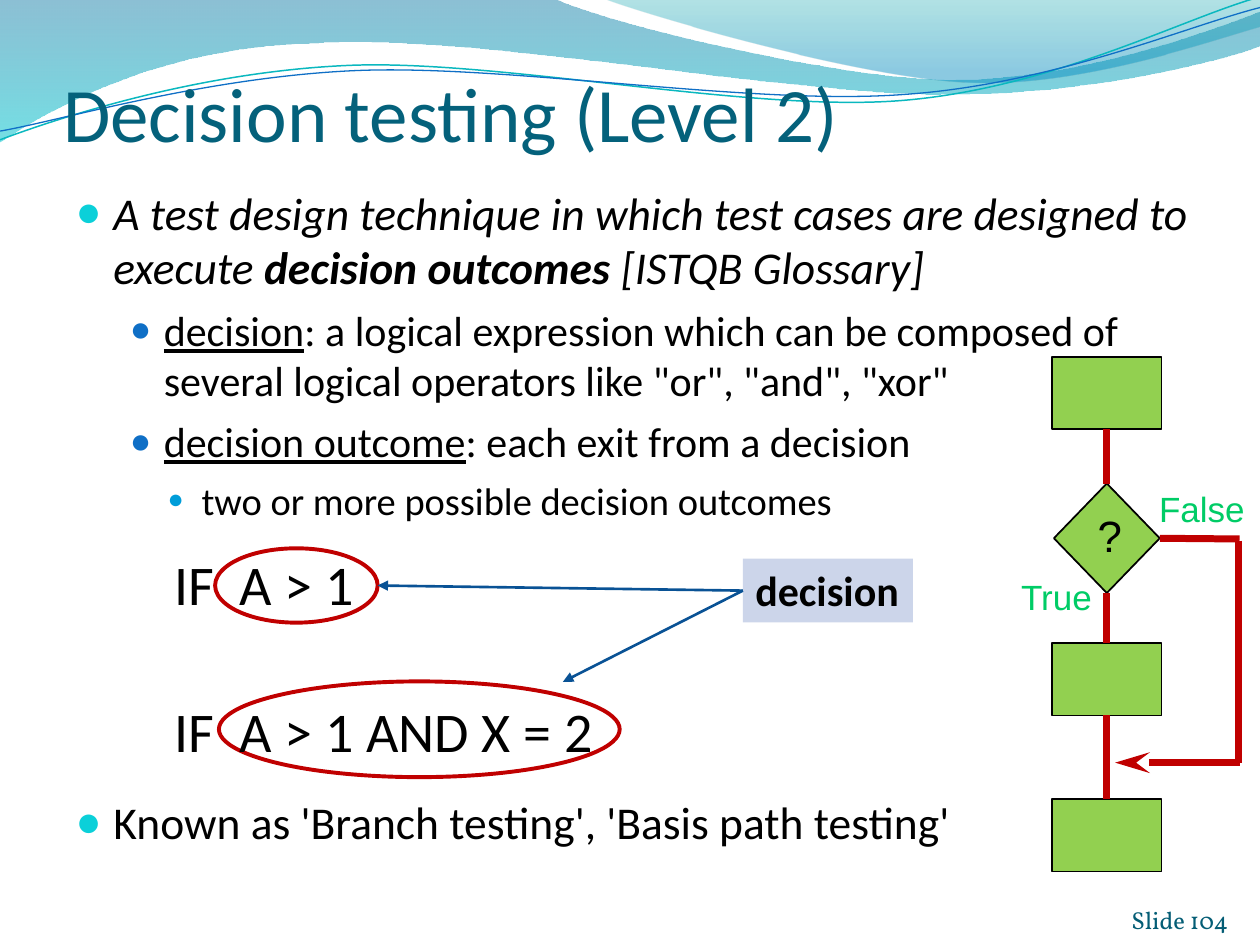
from lxml.etree import SubElement
from pptx import Presentation
from pptx.dml.color import RGBColor
from pptx.enum.shapes import MSO_CONNECTOR, MSO_SHAPE
from pptx.enum.text import MSO_ANCHOR, MSO_AUTO_SIZE, PP_ALIGN
from pptx.oxml.ns import qn
from pptx.util import Pt

RED, GREEN, BLUE = "C00000", "92D050", "095295"


def color(value):
    return RGBColor.from_string(value)


def set_values(target, values):
    for name, value in values.items():
        setattr(target, name, value)


def style_font(font, ink="000000", **values):
    set_values(font, values)
    font.color.rgb = color(ink)


def place(page, shape, box):
    """Move a placeholder to its box, in front of what is already drawn."""
    set_values(shape, dict(zip(("left", "top", "width", "height"), map(Pt, box))))
    page.shapes._spTree.append(shape._element)


def set_frame(frame, insets=(7.2, 3.6, 7.2, 3.6), **values):
    sides = ("margin_left", "margin_top", "margin_right", "margin_bottom")
    set_values(frame, dict(zip(sides, map(Pt, insets))))
    set_values(frame, {"auto_size": MSO_AUTO_SIZE.NONE, "word_wrap": True, **values})


def paint(shape, fill=None, line=None, width=1):
    shape.shadow.inherit = False
    if fill:
        shape.fill.solid()
        shape.fill.fore_color.rgb = color(fill)
    else:
        shape.fill.background()
    if line:
        shape.line.color.rgb = color(line)
        shape.line.width = Pt(width)
    else:
        shape.line.fill.background()


def add_shape(page, kind, box, **colors):
    shape = page.shapes.add_shape(kind, *map(Pt, box))
    paint(shape, **colors)
    return shape


def add_label(page, box, text, align=PP_ALIGN.LEFT, frame=None, **font):
    label = page.shapes.add_textbox(*map(Pt, box))
    set_frame(label.text_frame, **(frame or {"word_wrap": False}))
    para = label.text_frame.paragraphs[0]
    para.alignment = align
    span = para.add_run()
    span.text = text
    style_font(span.font, **font)


def add_line(page, start, end, ink, width, arrow=None):
    line = page.shapes.add_connector(MSO_CONNECTOR.STRAIGHT, *map(Pt, (*start, *end)))
    line.line.color.rgb = color(ink)
    line.line.width = Pt(width)
    if arrow:
        SubElement(line.line._get_or_add_ln(), qn("a:tailEnd"), arrow)
    SubElement(line._element.spPr, qn("a:effectLst"))
    return line


def add_wave(page, box, start, segments, closed):
    """Draw straight segments (one point) and cubic curves (three points)."""
    points = [(Pt(box[0] + x), Pt(box[1] + y))
              for x, y in (start, *(point for segment in segments for point in segment))]
    builder = page.shapes.build_freeform(*points[0], scale=1.0)
    builder.add_line_segments(points[1:], close=closed)
    wave = builder.convert_to_shape()
    lines = iter(list(wave._element.spPr.iter(qn("a:lnTo"))))
    for segment in segments:
        parts = [next(lines) for _ in segment]
        if len(parts) == 3:
            curve = SubElement(parts[0].getparent(), qn("a:cubicBezTo"))
            parts[0].addprevious(curve)
            for part in parts:
                curve.append(part[0])
                part.getparent().remove(part)
    return wave


def add_header_waves(page, box):
    # Filled bands: outline, then colour and opacity at top and bottom
    bands = [
        ((0, 0), [[(316.8, -0.7)],
                  [(342.7, 12.2), (478.1, 45.4), (545.8, 45.4)],
                  [(614.2, 45.4), (689.8, 18.7), (720, 6.5)],
                  [(720.7, 25.9)],
                  [(707.8, 31.7), (626.4, 54.7), (537.1, 54)],
                  [(447.8, 54), (275, 20.2), (185, 24.5)],
                  [(92.9, 25.9), (33.1, 59.8), (-0.7, 81.4)]],
         [(0, "0074A1", 45), (1, "00C6CF", 55)]),
        ((344.9, -0.7), [[(366.5, 7.9), (491, 44.6), (553.7, 46.8)],
                         [(616.3, 49.7), (691.9, 23), (720, 15.1)],
                         [(720, 0)]],
         [(0, "00A1A9", 30), (0.8, "008BBF", 45)]),
    ]
    for start, segments, stops in bands:
        band = add_wave(page, box, start, segments, True)
        paint(band)
        band.fill.gradient()
        band.fill.gradient_angle = 270
        for stop, (position, ink, _) in zip(band.fill.gradient_stops, stops):
            stop.position = position
            stop.color.rgb = color(ink)
        inks = band._element.spPr.iter(qn("a:srgbClr"))
        for ink, (_, _, opacity) in zip(list(inks), stops):
            SubElement(ink, qn("a:alpha"), val=str(opacity * 1000))
    # Thin lines
    strands = [
        ((0, 79.9), [[(34.6, 67), (113.8, 41), (199.4, 37.4)],
                     [(284.4, 33.8), (427, 64.1), (513.4, 57.6)],
                     [(599.8, 51.1), (675.4, 10.8), (718.6, -1.4)]], "0AB8BF", 0.85),
        ((0, 74.9), [[(33.8, 69.1), (118.1, 43.9), (203.8, 40.3)],
                     [(290.2, 36.7), (429.8, 60.5), (516.2, 54)],
                     [(601.9, 48.2), (677.5, 15.1), (720, 4.3)]], "0F6FC6", 0.75),
    ]
    for start, segments, ink, width in strands:
        paint(add_wave(page, box, start, segments, False), line=ink, width=width)


def add_title(page, box):
    title = page.shapes.title
    place(page, title, box)
    set_frame(title.text_frame, (0, 3.6, 0, 0), vertical_anchor=MSO_ANCHOR.BOTTOM)
    title.text_frame.text = "Decision testing (Level 2)"
    para = title.text_frame.paragraphs[0]
    para.alignment = PP_ALIGN.LEFT
    style_font(para.runs[0].font, "04617B", size=Pt(44), name="Calibri")


def add_bullet_list(page, box):
    # Level: indent, hanging, bullet colour, bullet percent, text size
    levels = [(21.6, 21.6, "0BD0D9", 95, 26), (50.4, 19.44, "0F6FC6", 85, 24),
              (72, 19.44, "009DD9", 70, 22)]
    items = [
        (0, 0, [("A test design technique in which test cases are designed to execute ", {"italic": True}),
                ("decision outcomes ", {"italic": True, "bold": True}),
                ("[ISTQB Glossary]", {"italic": True})]),
        (1, 6, [("decision", {"underline": True}),
                (": a logical expression which can be composed of several logical "
                 'operators like "or", "and", "xor"', {})]),
        (1, 6, [("decision outcome", {"underline": True}), (": each exit from a decision", {})]),
        (2, 6, [("two or more possible decision outcomes", {})]),
        (0, 155, [("Known as 'Branch testing', 'Basis path testing'", {})]),
    ]
    body = page.placeholders[1]
    place(page, body, box)
    frame = body.text_frame
    set_frame(frame, vertical_anchor=MSO_ANCHOR.TOP)
    for index, (level, gap, spans) in enumerate(items):
        para = frame.add_paragraph() if index else frame.paragraphs[0]
        indent, hanging, ink, percent, size = levels[level]
        marks = para._p.get_or_add_pPr()
        marks.set("marL", str(Pt(indent)))
        marks.set("indent", str(-Pt(hanging)))
        SubElement(SubElement(marks, qn("a:buClr")), qn("a:srgbClr"), val=ink)
        SubElement(marks, qn("a:buSzPct"), val=str(percent * 1000))
        SubElement(marks, qn("a:buFont"), typeface="Arial")
        SubElement(marks, qn("a:buChar"), char="●")
        set_values(para, {"level": level, "space_before": Pt(gap), "alignment": PP_ALIGN.LEFT})
        for text, accents in spans:
            span = para.add_run()
            span.text = text
            style_font(span.font, size=Pt(size), name="Calibri", **accents)


def add_flowchart(page, box):
    left, top, width, height = box
    step_width, step_height = 62.6, 41.4
    middle = left + 56.5
    # Steps and decision diamond
    first, second, third = [
        add_shape(page, MSO_SHAPE.RECTANGLE,
                  (middle - step_width / 2, top + offset, step_width, step_height),
                  fill=GREEN, line="000000")
        for offset in (0, 163.6, height - step_height)]
    diamond = add_shape(page, MSO_SHAPE.DIAMOND, (middle - 30.25, top + 72.5, 60.5, 62.6),
                        fill=GREEN, line="000000")
    # Main flow
    for upper, lower in ((first, diamond), (diamond, second), (second, third)):
        link = add_line(page, (middle, top), (middle, top), RED, 4)
        link.begin_connect(upper, 2)
        link.end_connect(lower, 0)
    # False branch around the second step
    right, branch, merge = left + width, top + 104.2, top + 232
    exit_line = add_line(page, (middle, branch), (right + 0.5, branch), RED, 4)
    exit_line.begin_connect(diamond, 3)
    add_line(page, (right, branch + 1), (right, merge), RED, 4)
    add_line(page, (right + 0.5, merge), (left + 61.2, merge), RED, 4,
             {"type": "stealth", "len": "lg"})
    # Labels
    for x, y, w, h, text, size, ink in ((0, 121.4, 55.4, 31.7, "True", 20, "00CC66"),
                                        (78.8, 71, 64, 31.7, "False", 20, "00CC66"),
                                        (44.1, 83.5, 28.1, 37.4, "?", 25, "000000")):
        add_label(page, (left + x, top + y, w, h), text, PP_ALIGN.CENTER,
                  ink=ink, size=Pt(size), name="Arial")


def add_decision_example(page, box):
    left, top, width, height = box
    # Rings around the decisions
    for x, y, w, h in ((30.2, 3, 92.9, 42.5), (32.4, 79.1, 229, 54.7)):
        add_shape(page, MSO_SHAPE.OVAL, (left + x, top + y, w, h), line=RED, width=2.25)
    # Callout with an arrow to each ring
    callout = add_shape(page, MSO_SHAPE.RECTANGLE,
                        (left + width - 97.2, top + 9, 97.2, 36.4), fill="CCD5EA")
    set_frame(callout.text_frame, word_wrap=False, vertical_anchor=MSO_ANCHOR.TOP)
    callout.text_frame.text = "decision"
    para = callout.text_frame.paragraphs[0]
    para.alignment = PP_ALIGN.LEFT
    style_font(para.runs[0].font, size=Pt(24), name="Calibri", bold=True)
    for x, y in ((123.1, 24.3), (229, 79.3)):
        arrow = add_line(page, (left + width, top), (left + x, top + y), BLUE, 1.5,
                         {"type": "triangle"})
        arrow.begin_connect(callout, 1)
    # Conditions
    for y, w, text in ((0, 118, "IF  A > 1"), (84.2, 256.3, "IF  A > 1 AND X = 2")):
        add_label(page, (left, top + y, w, 46), text, size=Pt(32), name="Calibri")


def main():
    deck = Presentation()
    set_values(deck, {"slide_width": Pt(720), "slide_height": Pt(540)})
    page = deck.slides.add_slide(deck.slide_layouts[1])
    add_header_waves(page, (0, 0))
    add_title(page, (36, 30.2, 660, 60))
    add_bullet_list(page, (36, 101.9, 660, 414))
    add_flowchart(page, (576, 203.8, 131.8, 294.2))
    add_decision_example(page, (92.7, 310.3, 429, 134))
    add_label(page, (642.2, 505.4, 59.8, 28.8), "Slide 104", PP_ALIGN.RIGHT,
              {"insets": (0, 0, 0, 0), "word_wrap": False, "vertical_anchor": MSO_ANCHOR.BOTTOM},
              ink="045D75", size=Pt(14), name="Vollkorn")
    deck.save("out.pptx")


if __name__ == "__main__":
    main()
